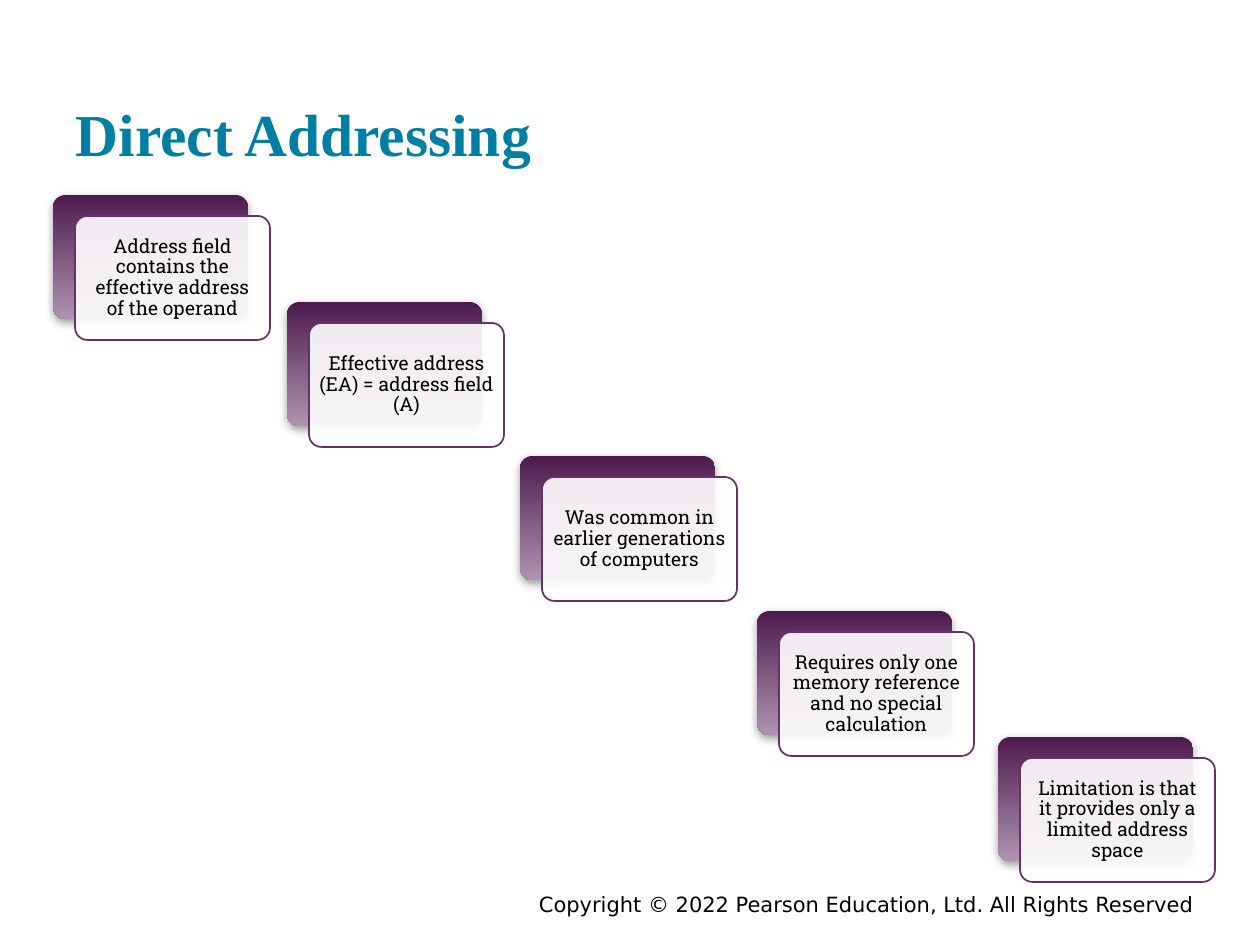
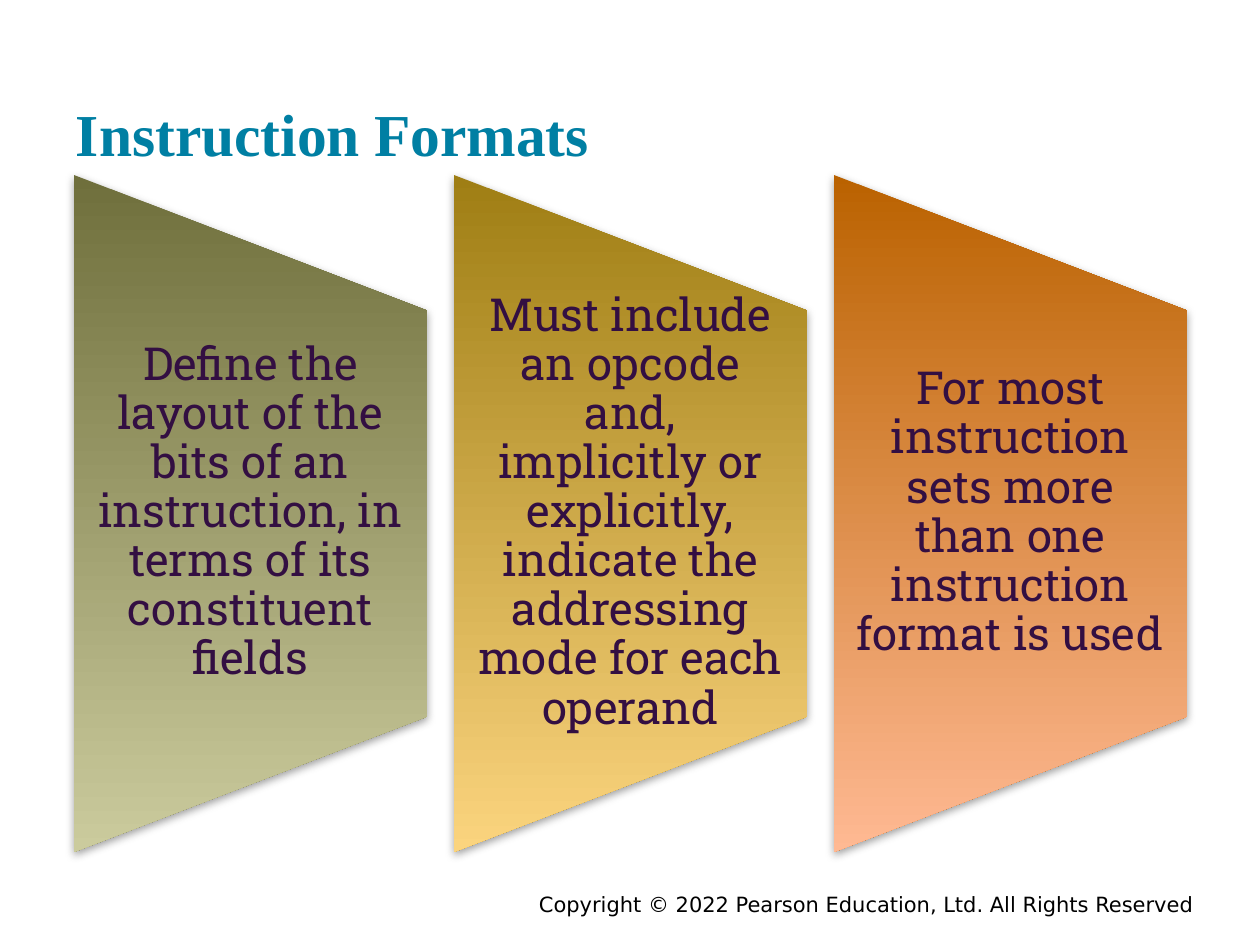
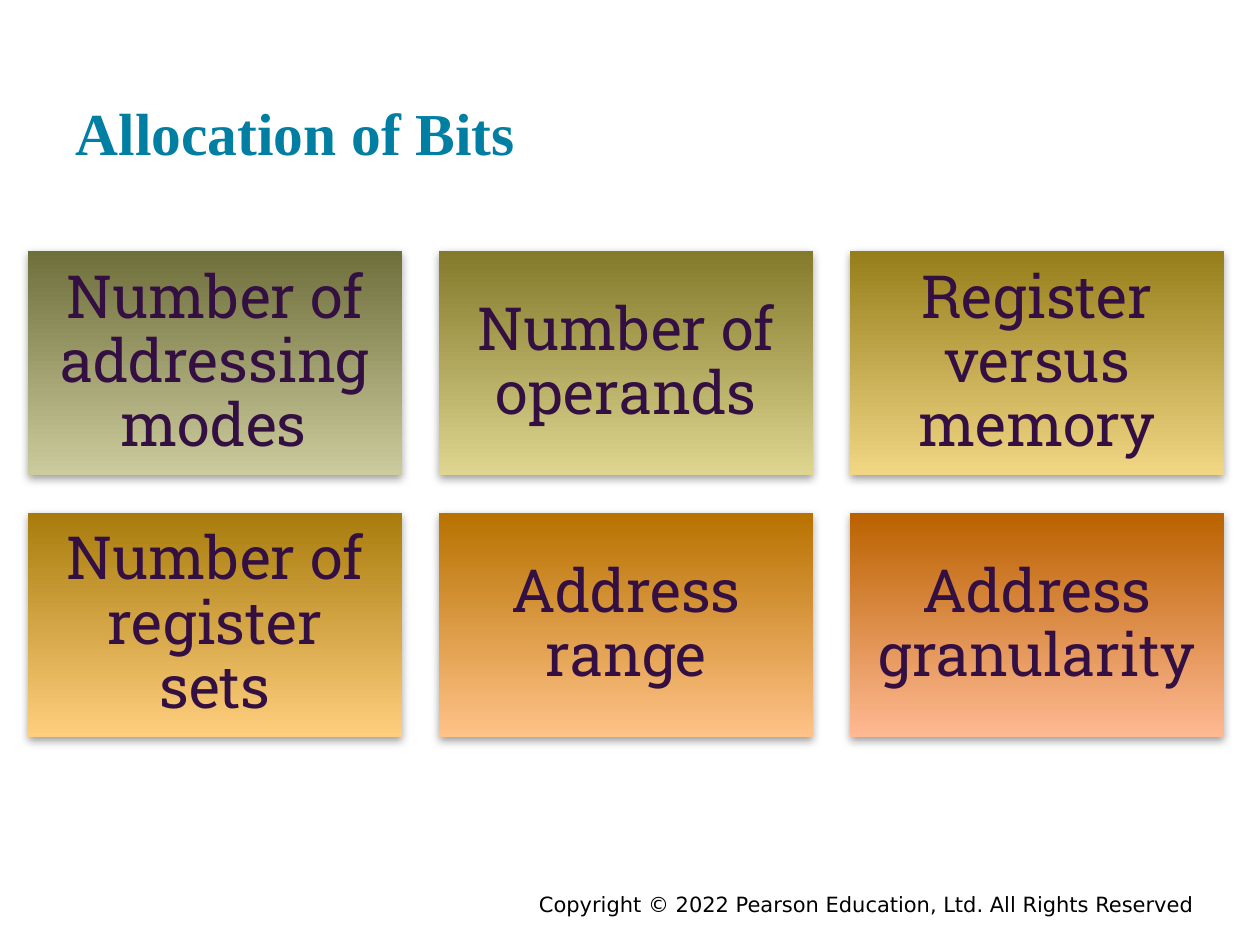
from lxml.etree import SubElement
from pptx import Presentation
from pptx.dml.color import RGBColor
from pptx.enum.shapes import MSO_SHAPE
from pptx.enum.text import MSO_ANCHOR, PP_ALIGN
from pptx.oxml.ns import qn
from pptx.util import Pt

PX = 914400 // 126
COLORS = {
    "title": "007FA3",
    "ink": "000000",
    "plum text": "330F42",
    "card edge": "663366",
    "card face": "FFFFFF",
    "shadow": "808080",
}
GRADIENTS = {
    "plum": ("4D1A4D", "AF94AF"),
    "olive": ("6F6F3C", "CBCB9D"),
    "moss": ("837A2B", "DED590"),
    "mustard": ("967E1B", "F1D684"),
    "gold": ("9F7E14", "FBD47E"),
    "amber": ("A87C0C", "FFCE7E"),
    "orange": ("B77200", "FFC288"),
    "rust": ("BA6200", "FFB993"),
}
BODY_FONT = "Roboto Slab"
COPYRIGHT = "Copyright © 2022 Pearson Education, Ltd. All Rights Reserved"


def write(shape, text, font, size, color, margins, align=PP_ALIGN.CENTER,
          anchor=MSO_ANCHOR.MIDDLE, spacing=0.9, bold=False):
    """Put one styled paragraph in a shape; margins are (side, top and bottom) in px."""
    frame = shape.text_frame
    frame.word_wrap = True
    frame.vertical_anchor = anchor
    frame.margin_left = frame.margin_right = margins[0] * PX
    frame.margin_top = frame.margin_bottom = margins[1] * PX
    paragraph = frame.paragraphs[0]
    paragraph.alignment = align
    paragraph.line_spacing = spacing
    run = paragraph.add_run()
    run.text = text
    run.font.name = font
    run.font.size = Pt(size)
    run.font.bold = bold
    run.font.color.rgb = RGBColor.from_string(COLORS[color])


def add_panel(slide, preset, left, top, width, height, gradient):
    """Add a borderless shape with a downward page-aligned gradient and a soft shadow."""
    panel = slide.shapes.add_shape(preset, left * PX, top * PX, width * PX, height * PX)
    panel.fill.gradient()
    panel.fill.gradient_angle = 270
    for stop, color in zip(panel.fill.gradient_stops, GRADIENTS[gradient]):
        stop.color.rgb = RGBColor.from_string(color)
    properties = panel._element.spPr
    properties.find(qn("a:gradFill")).set("rotWithShape", "0")
    panel.line.fill.background()
    panel.shadow.inherit = False
    shadow = SubElement(properties.find(qn("a:effectLst")), qn("a:outerShdw"),
                        blurRad=str(Pt(5)), dist=str(Pt(2)), dir="5400000",
                        algn="ctr", rotWithShape="0")
    shadow_color = SubElement(shadow, qn("a:srgbClr"), val=COLORS["shadow"])
    SubElement(shadow_color, qn("a:alpha"), val="75000")
    return panel


deck = Presentation()
deck.slide_width = 1260 * PX
deck.slide_height = 945 * PX

# Slides with their shared title and footer
slides = []
for heading, title_top in [("Direct Addressing", 30), ("Instruction Formats", 30),
                           ("Allocation of Bits", 29)]:
    slide = deck.slides.add_slide(deck.slide_layouts[6])
    footer = slide.shapes.add_textbox(220 * PX, 886 * PX, 987 * PX, 28 * PX)
    write(footer, COPYRIGHT, "DejaVu Sans", 12, "ink", (13, 6),
          PP_ALIGN.RIGHT, MSO_ANCHOR.TOP, 1.0)
    title = slide.shapes.add_textbox(63 * PX, title_top * PX, 1134 * PX, 151 * PX)
    write(title, heading, "Times New Roman", 34, "title", (13, 13),
          PP_ALIGN.LEFT, MSO_ANCHOR.BOTTOM, 1.0, True)
    slides.append(slide)
addressing, formats, allocation = slides

# Direct Addressing: descending cards, each with a face over its backing
CARD_W, CARD_H = 195, 124
FACE_DX, FACE_DY = 22, 21
cards = [
    (53, 195, "Address field contains the effective address of the operand"),
    (287, 302, "Effective address (EA) = address field (A)"),
    (520, 456, "Was common in earlier generations of computers"),
    (757, 611, "Requires only one memory reference and no special calculation"),
    (998, 737, "Limitation is that it provides only a limited address space"),
]
for left, top, statement in cards:
    backing = add_panel(addressing, MSO_SHAPE.ROUNDED_RECTANGLE,
                        left, top, CARD_W, CARD_H, "plum")
    face = addressing.shapes.add_shape(
        MSO_SHAPE.ROUNDED_RECTANGLE, (left + FACE_DX) * PX, (top + FACE_DY) * PX,
        CARD_W * PX, CARD_H * PX)
    backing.adjustments[0] = face.adjustments[0] = 0.1
    face.shadow.inherit = False
    face.fill.solid()
    face.fill.fore_color.rgb = RGBColor.from_string(COLORS["card face"])
    face_color = face._element.spPr.find(qn("a:solidFill")).find(qn("a:srgbClr"))
    SubElement(face_color, qn("a:alpha"), val="90000")
    face.line.color.rgb = RGBColor.from_string(COLORS["card edge"])
    face.line.width = Pt(1)
    write(face, statement, BODY_FONT, 11, "ink", (6, 6))

# Instruction Formats: trapezoids turned on their side
COLUMN_W, COLUMN_H, COLUMN_TOP, COLUMN_PITCH = 353, 677, 175, 380
TURN_SHIFT = (COLUMN_H - COLUMN_W) // 2
columns = [
    ("olive", "Define the layout of the bits of an instruction, "
              "in terms of its constituent fields"),
    ("gold", "Must include an opcode and, implicitly or explicitly, "
             "indicate the addressing mode for each operand"),
    ("rust", "For most instruction sets more than one instruction format is used"),
]
for index, (gradient, statement) in enumerate(columns):
    left = 74 + index * COLUMN_PITCH
    trapezoid = add_panel(formats, MSO_SHAPE.FLOWCHART_MANUAL_OPERATION,
                          left - TURN_SHIFT, COLUMN_TOP + TURN_SHIFT,
                          COLUMN_H, COLUMN_W, gradient)
    trapezoid.rotation = 270
    caption = formats.shapes.add_textbox(left * PX, 310 * PX, COLUMN_W * PX, 406 * PX)
    write(caption, statement, BODY_FONT, 26, "plum text", (23, 0))

# Allocation of Bits: three by two grid
factors = [
    ("olive", "Number of addressing modes\t"),
    ("moss", "Number of operands"),
    ("mustard", "Register versus memory"),
    ("amber", "Number of register sets"),
    ("orange", "Address range"),
    ("rust", "Address granularity"),
]
for index, (gradient, factor) in enumerate(factors):
    row, column = divmod(index, 3)
    tile = add_panel(allocation, MSO_SHAPE.RECTANGLE, 28 + column * 411,
                     251 + row * 262, 374, 224, gradient)
    write(tile, factor, BODY_FONT, 34, "plum text", (18, 18))

deck.save("out.pptx")
